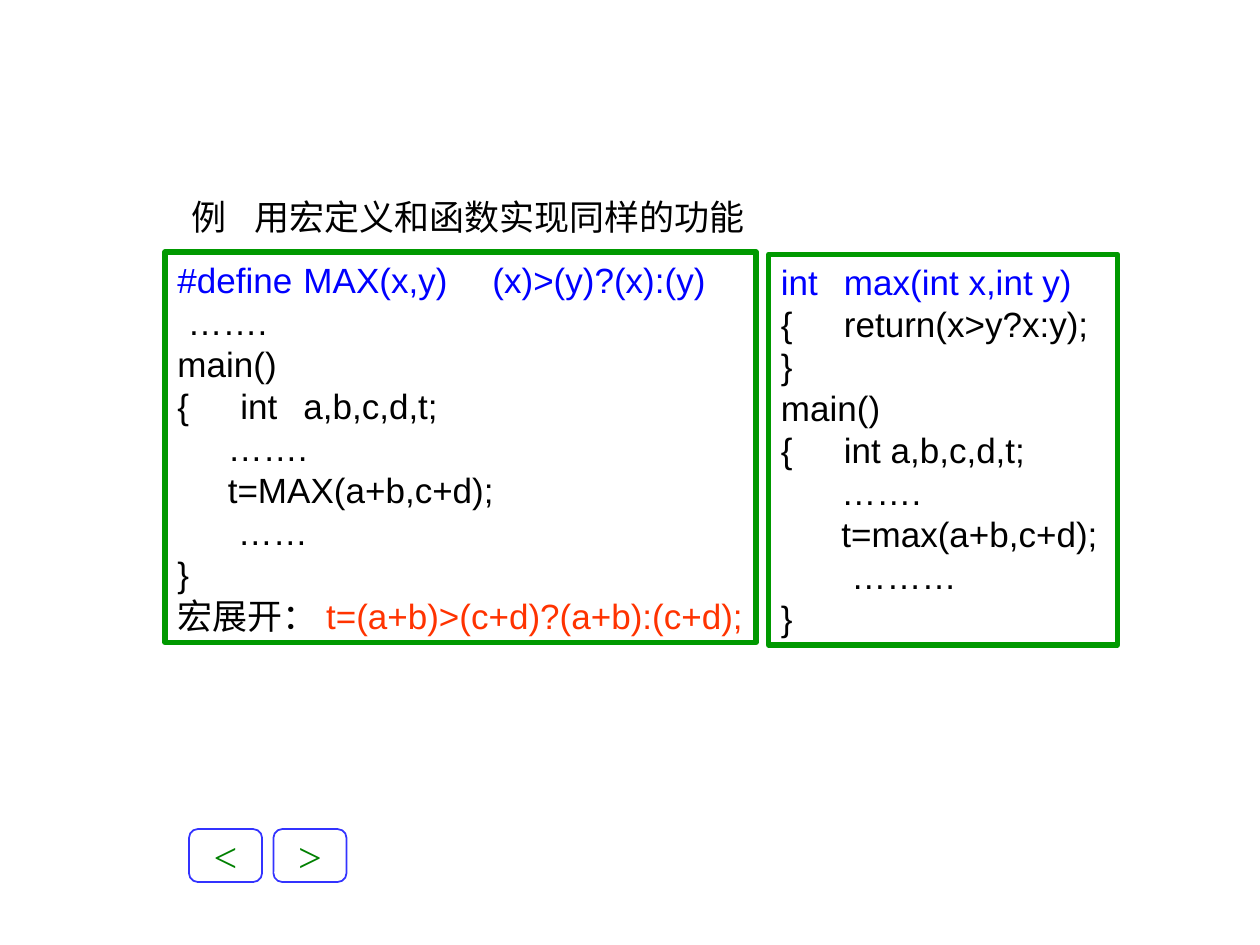
from lxml import etree
from pptx import Presentation
from pptx.dml.color import RGBColor
from pptx.enum.shapes import MSO_SHAPE
from pptx.enum.text import MSO_ANCHOR, PP_ALIGN
from pptx.oxml.ns import qn
from pptx.util import Inches, Pt

RECT, ROUNDED = MSO_SHAPE.RECTANGLE, MSO_SHAPE.ROUNDED_RECTANGLE
MIDDLE = MSO_ANCHOR.MIDDLE
LEFT, CENTER = PP_ALIGN.LEFT, PP_ALIGN.CENTER

BLACK = RGBColor(0x00, 0x00, 0x00)
BLUE = RGBColor(0x00, 0x00, 0xFF)
RED = RGBColor(0xFF, 0x33, 0x00)
FRAME_GREEN = RGBColor(0x00, 0x99, 0x00)
BUTTON_BLUE = RGBColor(0x33, 0x33, 0xFF)
BUTTON_GREEN = RGBColor(0x00, 0x80, 0x00)

INDENT_STEP = 0.08  # inches per level of code indent

prs = Presentation()
prs.slide_width, prs.slide_height = Inches(10), Inches(7.5)
slide = prs.slides.add_slide(prs.slide_layouts[6])


def add_frame(kind, box, color, width):
    frame = slide.shapes.add_shape(kind, *[Inches(v) for v in box])
    frame.shadow.inherit = False
    frame.fill.background()
    frame.line.color.rgb = color
    frame.line.width = Pt(width)
    return frame


def write_line(paragraph, runs, font, size, align=LEFT, indent=0, stops=()):
    paragraph.alignment = align
    props = paragraph._p.get_or_add_pPr()
    props.set("marL", str(Inches(indent * INDENT_STEP)))
    props.set("indent", "0")
    if stops:
        tab_list = etree.SubElement(props, qn("a:tabLst"))
        for stop in stops:
            etree.SubElement(tab_list, qn("a:tab"), pos=str(Inches(stop)), algn="l")
    for text, color in runs:
        run = paragraph.add_run()
        run.text = text
        run.font.name = font
        run.font.size = Pt(size)
        run.font.color.rgb = color


# Code panels: each line is its runs, indent level and tab stops
macro_code = [
    ([("#define\tMAX(x,y)\t(x)>(y)?(x):(y)", BLUE)], 0, (1.07, 2.45)),
    ([("…….", BLACK)], 1, ()),
    ([("main()", BLACK)], 0, ()),
    ([("{\tint\ta,b,c,d,t;", BLACK)], 0, (0.33, 0.78)),
    ([("…….", BLACK)], 5, ()),
    ([("t=MAX(a+b,c+d);", BLACK)], 5, ()),
    ([("……", BLACK)], 6, ()),
    ([("}", BLACK)], 0, ()),
    ([("宏展开：", BLACK), ("t=(a+b)>(c+d)?(a+b):(c+d);", RED)], 0, ()),
]
function_code = [
    ([("int\tmax(int x,int y)", BLUE)], 0, (0.53,)),
    ([("{\treturn(x>y?x:y);", BLACK)], 0, (0.25,)),
    ([("}", BLACK)], 0, ()),
    ([("main()", BLACK)], 0, ()),
    ([("{\tint a,b,c,d,t;", BLACK)], 0, (0.4,)),
    ([("…….", BLACK)], 6, ()),
    ([("t=max(a+b,c+d);", BLACK)], 6, ()),
    ([("………", BLACK)], 7, ()),
    ([("}", BLACK)], 0, ()),
]
for box, code in (((1.31, 2, 4.69, 3.1), macro_code),
                  ((6.1, 2.02, 2.77, 3.1), function_code)):
    panel = add_frame(RECT, box, FRAME_GREEN, 3).text_frame
    panel.word_wrap = True
    panel.margin_right = 0
    panel.vertical_anchor = MIDDLE
    for row, (runs, indent, stops) in enumerate(code):
        line = panel.add_paragraph() if row else panel.paragraphs[0]
        write_line(line, runs, "Arial", 20, indent=indent, stops=stops)

# Heading
heading = slide.shapes.add_textbox(
    Inches(1.42), Inches(1.5), Inches(4.5), Inches(0.44)).text_frame
heading.word_wrap = True
heading.margin_right = 0
heading.vertical_anchor = MIDDLE
write_line(heading.paragraphs[0], [("例\t用宏定义和函数实现同样的功能", BLACK)],
           "Times New Roman", 20, stops=(0.39,))

# Page buttons
for column, arrow in enumerate("<>"):
    button = add_frame(ROUNDED, (1.5 + column * 0.67, 6.58, 0.58, 0.42),
                       BUTTON_BLUE, 1)
    button.text_frame.word_wrap = False
    button.text_frame.vertical_anchor = MIDDLE
    write_line(button.text_frame.paragraphs[0], [(arrow, BUTTON_GREEN)],
               "Times New Roman", 24, CENTER)

prs.save("out.pptx")
